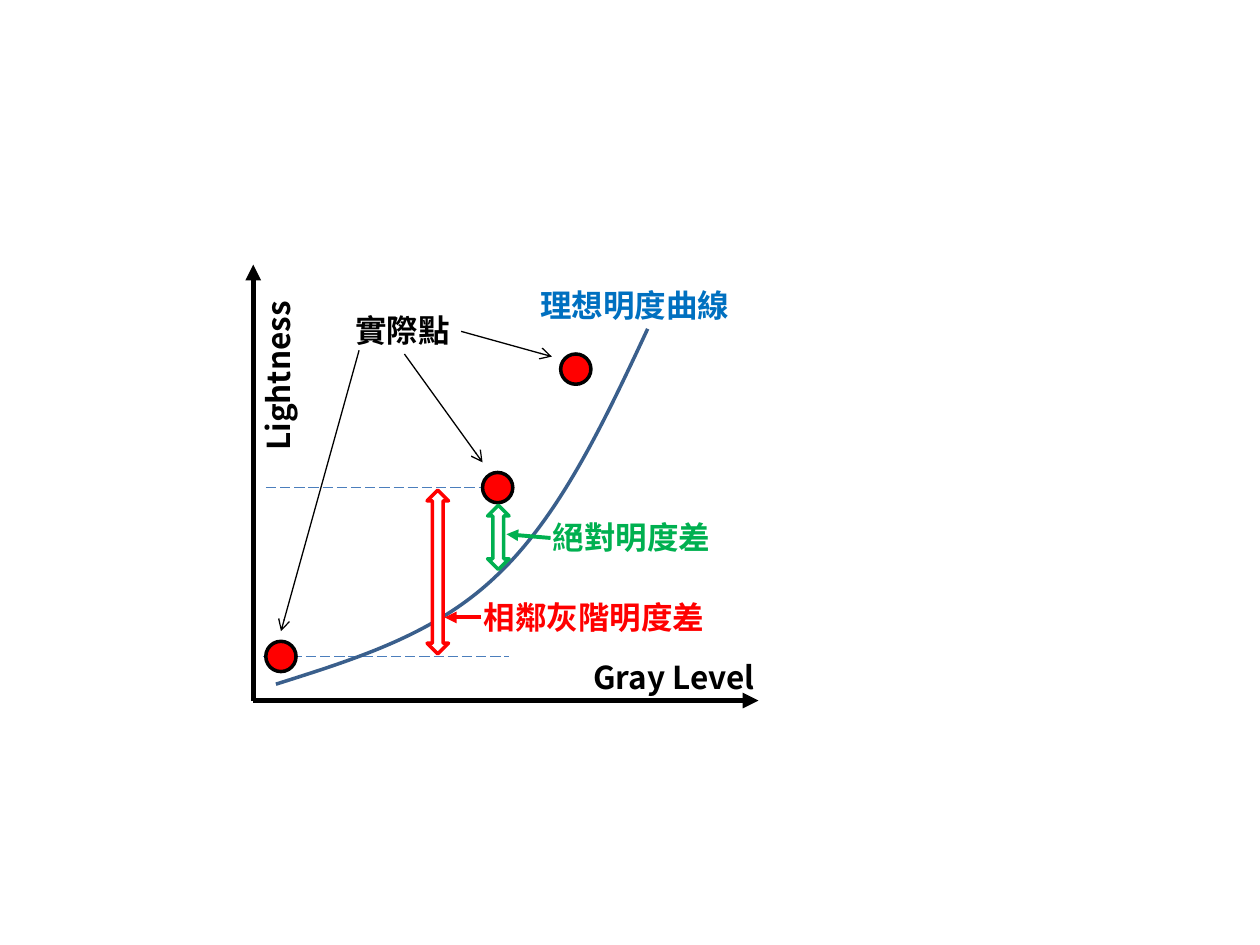
from lxml.etree import SubElement
from pptx import Presentation
from pptx.dml.color import RGBColor
from pptx.enum.dml import MSO_LINE
from pptx.enum.shapes import MSO_CONNECTOR, MSO_SHAPE
from pptx.enum.text import MSO_AUTO_SIZE
from pptx.oxml.ns import qn
from pptx.util import Inches, Pt

THEME = {
    "font": "Noto Sans CJK SC", "size": 18,
    "black": "000000", "red": "FF0000", "green": "00B050", "white": "FFFFFF",
    "ideal": "0070C0", "curve": "3A5F8C", "guide": "4B7EBC",
    "thin": 0.75, "outline": 2, "pointer": 2.25, "axis": 3,
}

ORIGIN = (2.01, 5.56)
AXIS_ENDS = [(6.02, ORIGIN[1]), (ORIGIN[0], 2.1)]
DOT_SIZE = 0.24
DOTS = [(2.23, 5.21), (3.95, 3.87), (4.57, 2.93)]
GUIDE_LENGTH = 1.95
GUIDES = [(2.09, DOTS[0][1]), (2.11, DOTS[1][1])]
CURVE = [(2.19, 5.43), (2.82, 5.23), (3.45, 5.04), (3.94, 4.57),
         (4.44, 4.1), (4.79, 3.36), (5.14, 2.61)]

# left, top, height, colour
GAP_WIDTH = 0.17
GAPS = [(3.87, 4.01, 0.51, "green"), (3.39, 3.89, 1.3, "red")]

# start, end, colour, weight, arrowhead
POINTERS = [
    ((2.85, 2.78), (2.23, 5.01), "black", "thin", "arrow"),
    ((3.66, 2.63), (4.38, 2.83), "black", "thin", "arrow"),
    ((3.21, 2.81), (3.83, 3.67), "black", "thin", "arrow"),
    ((3.82, 4.9), (3.53, 4.9), "red", "pointer", "triangle"),
    ((4.37, 4.27), (4.02, 4.24), "green", "pointer", "triangle"),
]

# text, left, top, width, colour, rotation
LABEL_HEIGHT = 0.4
LABELS = [
    ("理想明度曲線", 4.19, 2.22, 2.12, "ideal", 0),
    ("絕對明度差", 4.29, 4.06, 1.51, "green", 0),
    ("相鄰灰階明度差", 3.74, 4.7, 2.05, "red", 0),
    ("實際點", 2.72, 2.42, 1.51, "black", 0),
    ("Gray Level", 4.61, 5.17, 1.51, "black", 0),
    ("Lightness", 1.45, 2.72, 1.51, "black", 270),
]


def colour(name):
    """Return a theme colour."""
    return RGBColor.from_string(THEME[name])


def style_line(line, ink, weight):
    """Set the colour and width of a line."""
    line.color.rgb = colour(ink)
    line.width = Pt(THEME[weight])


def add_line(page, start, end, ink, weight, head=None, dash=None):
    """Draw a straight line, with an optional arrowhead or dash."""
    link = page.shapes.add_connector(
        MSO_CONNECTOR.STRAIGHT, *map(Inches, (*start, *end)))
    style_line(link.line, ink, weight)
    if dash:
        link.line.dash_style = dash
    if head:
        SubElement(link.line._get_or_add_ln(), qn("a:tailEnd"), type=head)
    SubElement(link._element.spPr, qn("a:effectLst"))


def add_outlined(page, kind, place, fill, ink):
    """Draw a filled preset shape with an outline."""
    shape = page.shapes.add_shape(kind, *map(Inches, place))
    shape.shadow.inherit = False
    shape.fill.solid()
    shape.fill.fore_color.rgb = colour(fill)
    style_line(shape.line, ink, "outline")


def add_curve(page, points):
    """Draw a chain of cubic Bezier segments, three points to each."""
    units = [(round(x * 100), round(y * 100)) for x, y in points]
    builder = page.shapes.build_freeform(*units[0], scale=Inches(0.01))
    builder.add_line_segments(units[1:], close=False)
    shape = builder.convert_to_shape()
    steps = list(shape._element.iter(qn("a:lnTo")))
    for first in range(0, len(steps), 3):
        trio = steps[first:first + 3]
        trio[0].tag = qn("a:cubicBezTo")
        for step in trio[1:]:
            trio[0].append(step[0])
            step.getparent().remove(step)
    shape.shadow.inherit = False
    shape.fill.background()
    style_line(shape.line, "curve", "outline")


def add_label(page, text, left, top, width, ink, rotation):
    """Write one bold label."""
    box = page.shapes.add_textbox(
        *map(Inches, (left, top, width, LABEL_HEIGHT)))
    box.rotation = rotation
    frame = box.text_frame
    frame.word_wrap = True
    frame.auto_size = MSO_AUTO_SIZE.SHAPE_TO_FIT_TEXT
    span = frame.paragraphs[0].add_run()
    span.text = text
    formats = {"name": THEME["font"], "size": Pt(THEME["size"]), "bold": True}
    for key, value in formats.items():
        setattr(span.font, key, value)
    span.font.color.rgb = colour(ink)
    SubElement(span.font._element, qn("a:ea"), typeface=THEME["font"])


def main():
    """Build the diagram slide."""
    deck = Presentation()
    deck.slide_width, deck.slide_height = Inches(10), Inches(7.5)
    page = deck.slides.add_slide(deck.slide_layouts[6])
    for x, y in GUIDES:
        add_line(page, (x, y), (x + GUIDE_LENGTH, y), "guide", "thin",
                 dash=MSO_LINE.LONG_DASH)
    add_curve(page, CURVE)
    for x, y in DOTS:
        place = (x - DOT_SIZE / 2, y - DOT_SIZE / 2, DOT_SIZE, DOT_SIZE)
        add_outlined(page, MSO_SHAPE.OVAL, place, "red", "black")
    for left, top, height, ink in GAPS:
        add_outlined(page, MSO_SHAPE.UP_DOWN_ARROW,
                     (left, top, GAP_WIDTH, height), "white", ink)
    for label in LABELS:
        add_label(page, *label)
    for pointer in POINTERS:
        add_line(page, *pointer)
    for end in AXIS_ENDS:
        add_line(page, ORIGIN, end, "black", "axis", "triangle")
    deck.save("out.pptx")


main()
